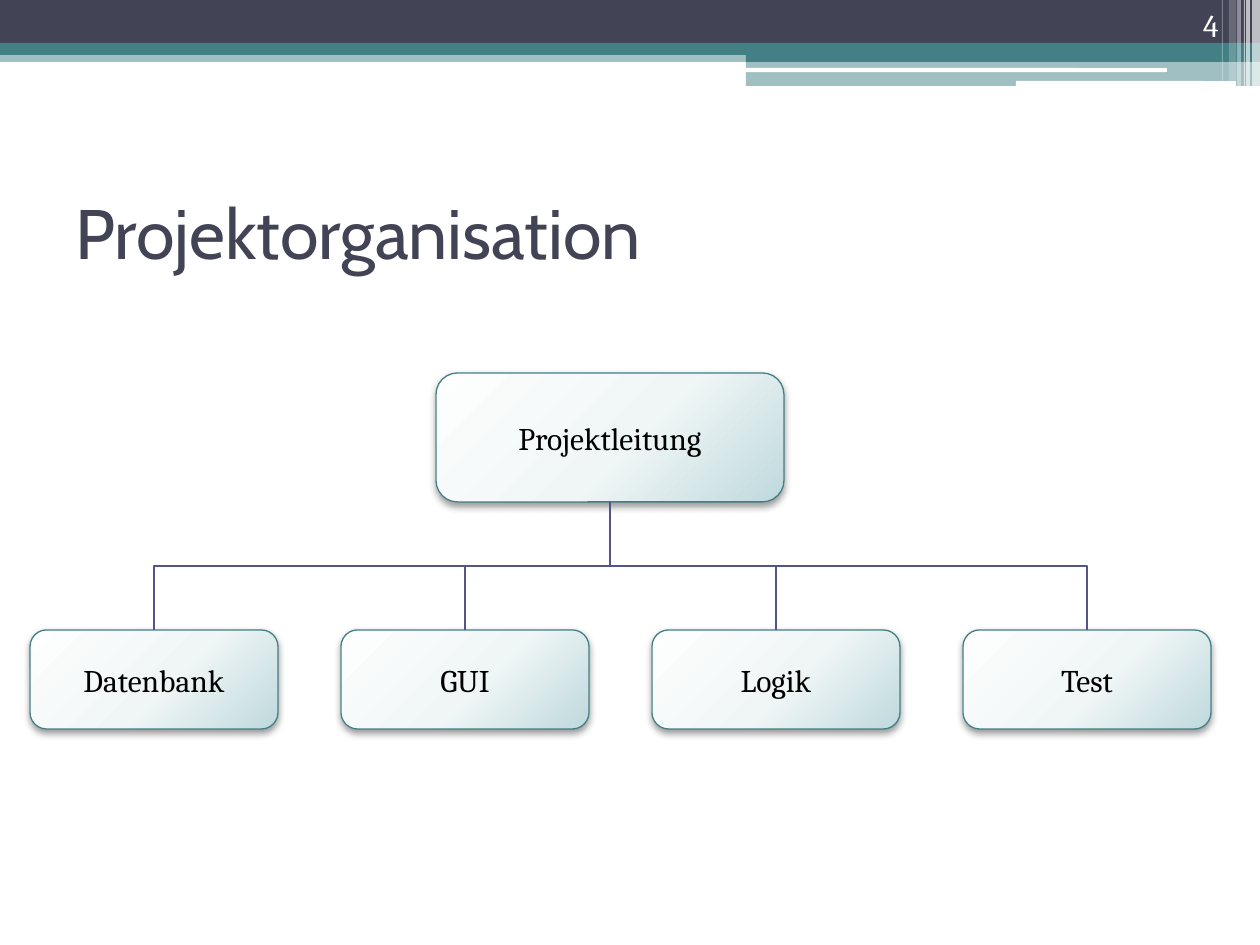
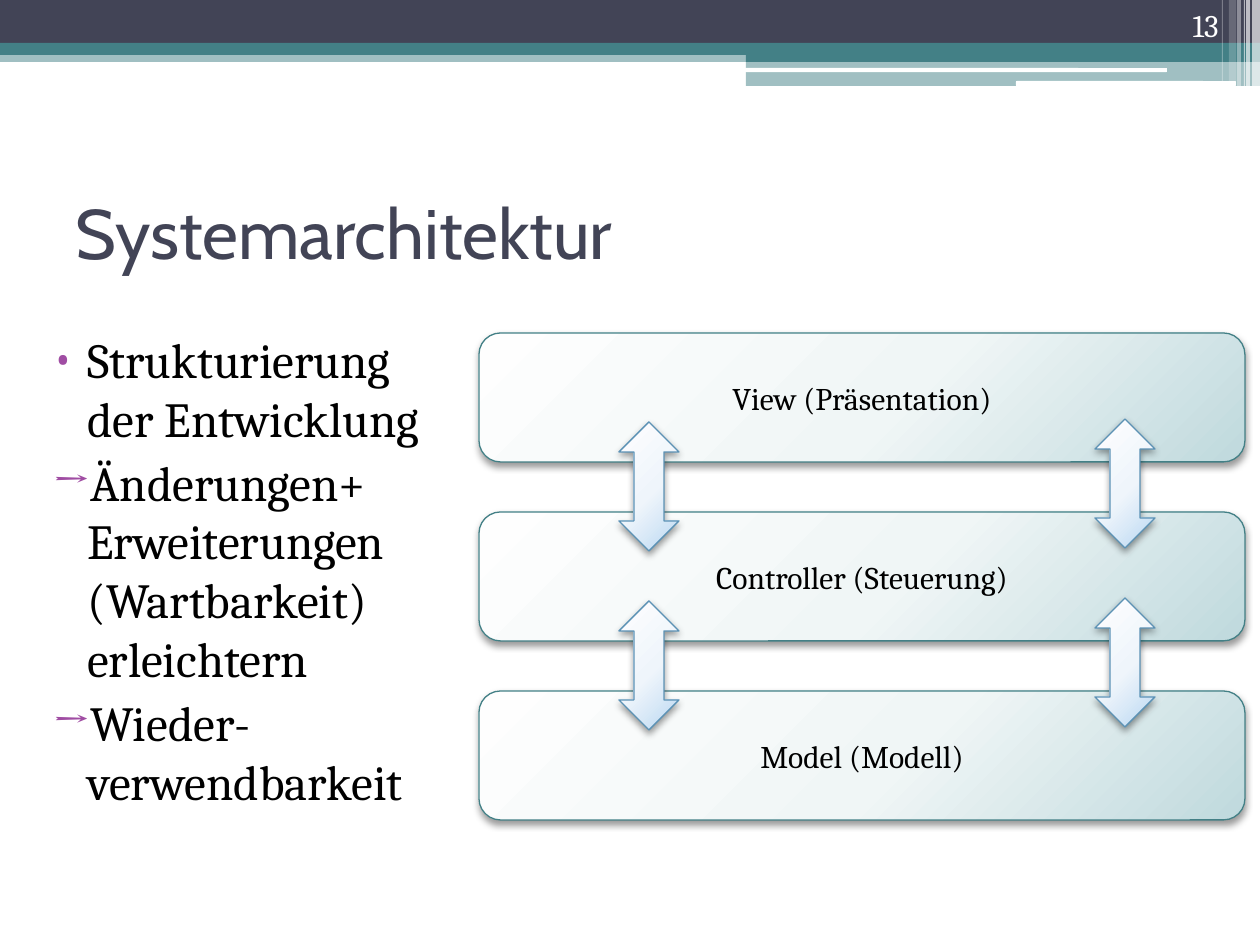
from lxml import etree
from pptx import Presentation
from pptx import util as u
from pptx.dml.color import RGBColor
from pptx.enum import shapes, text
from pptx.oxml import parse_xml
from pptx.oxml.ns import nsdecls, qn

SHAPE = shapes.MSO_SHAPE
ALIGN = text.PP_ALIGN
ANCHOR = text.MSO_ANCHOR

COLORS = {
    "white": "FFFFFF", "black": "000000", "slate": "424456",
    "teal": "438086", "link": "53548A", "bullet": "A04DA3",
    "arrow_line": "5C92B5",
}
BOX_GRADIENT = ((0, "FEFEFE"), (55, "F0F6F6"), (100, "BFD9DD"))
ARROW_GRADIENT = ((0, "FEFEFF"), (55, "EFF5FB"), (100, "BAD8F2"))
TITLE_FONT, BODY_FONT = "Cabin", "Cambria"
SLIDE_W, SLIDE_H = 1260, 945

# Header parts: left, top, width, height, colour, opacity in percent
BANDS = (
    (0, 50, SLIDE_W, 12, "teal", 50),
    (0, 0, SLIDE_W, 43, "slate", 100),
    (0, 43, SLIDE_W, 12, "teal", 100),
    (746, 49, 514, 13, "teal", 100),
    (746, 62, 514, 24, "teal", 50),
)
HEADER_RULES = ((745, 68, 422, 4), (1016, 81, 220, 5))
# Strips at the right edge: left, width, height, opacity in percent
EDGE_STRIPS = (
    (1252, 8, 86, 65), (1246, 4, 86, 65), (1244, 1, 86, 60),
    (1237, 4, 86, 40), (1229, 7, 81, 20), (1222, 1, 81, 30),
)


def px(length):
    return u.Emu(round(length * 914400 / 126))


def rgb(name):
    return RGBColor.from_string(COLORS[name])


def add_preset(slide, preset, box):
    shape = slide.shapes.add_shape(preset, *map(px, box))
    shape.shadow.inherit = False
    return shape


def add_flat(slide, preset, box, color, opacity=100):
    shape = add_preset(slide, preset, box)
    shape.fill.solid()
    shape.fill.fore_color.rgb = rgb(color)
    shape.line.fill.background()
    if opacity < 100:
        color_node = next(shape._element.spPr.iter(qn("a:srgbClr")))
        etree.SubElement(color_node, qn("a:alpha"), val=str(opacity * 1000))
    return shape


def add_glossy(slide, preset, box, gradient, line_color):
    """Shape with a radial gradient, a thin outline and a soft shadow."""
    shape = add_preset(slide, preset, box)
    shape.line.color.rgb = rgb(line_color)
    shape.line.width = u.Pt(0.75)
    shape.fill.gradient()
    props = shape._element.spPr
    stops = "".join(
        f'<a:gs pos="{pos * 1000}"><a:srgbClr val="{color}"/></a:gs>'
        for pos, color in gradient)
    props.replace(props.find(qn("a:gradFill")), parse_xml(
        f'<a:gradFill {nsdecls("a")} rotWithShape="1"><a:gsLst>{stops}</a:gsLst>'
        '<a:path path="circle"><a:fillToRect l="-40000" t="-90000" '
        'r="140000" b="190000"/></a:path></a:gradFill>'))
    props.find(qn("a:effectLst")).append(parse_xml(
        f'<a:outerShdw {nsdecls("a")} blurRad="{u.Pt(4.1)}" dist="{u.Pt(2)}" '
        'dir="5400000" rotWithShape="0"><a:srgbClr val="000000">'
        '<a:alpha val="40000"/></a:srgbClr></a:outerShdw>'))
    return shape


def style(paragraph, size, color, font=BODY_FONT, align=ALIGN.LEFT):
    paragraph.alignment = align
    paragraph.font.size = u.Pt(size)
    paragraph.font.name = font
    paragraph.font.color.rgb = rgb(color)


def add_text(slide, box, words, anchor, *look):
    frame = slide.shapes.add_textbox(*map(px, box)).text_frame
    frame.word_wrap = True
    frame.vertical_anchor = anchor
    frame.text = words
    style(frame.paragraphs[0], *look)


def add_card(slide, box, label):
    card = add_glossy(slide, SHAPE.ROUNDED_RECTANGLE, box, BOX_GRADIENT, "teal")
    card.text_frame.vertical_anchor = ANCHOR.MIDDLE
    card.text_frame.text = label
    style(card.text_frame.paragraphs[0], 18, "black", BODY_FONT, ALIGN.CENTER)
    return card


def add_header(slide):
    for *box, color, opacity in BANDS:
        add_flat(slide, SHAPE.RECTANGLE, box, color, opacity)
    for box in HEADER_RULES:
        add_flat(slide, SHAPE.ROUNDED_RECTANGLE, box, "white")
    for left, width, height, opacity in EDGE_STRIPS:
        add_flat(slide, SHAPE.RECTANGLE, (left, 0, width, height), "white", opacity)


def new_slide(deck, title, number):
    slide = deck.slides.add_slide(deck.slide_layouts[6])
    add_header(slide)
    add_text(slide, (63, 158, 1134, 147), title, ANCHOR.MIDDLE,
             40, "slate", TITLE_FONT)
    add_text(slide, (1126, 0, 105, 50), str(number), ANCHOR.BOTTOM,
             18, "white", BODY_FONT, ALIGN.RIGHT)
    return slide


def add_branch(slide, leader, unit):
    """Elbow link that leaves the leader downwards and enters the unit from above."""
    link = slide.shapes.add_connector(shapes.MSO_CONNECTOR.ELBOW, 0, 0, 0, 0)
    link.begin_connect(leader, 2)
    link.end_connect(unit, 0)
    start_x, end_x = (card.left + card.width // 2 for card in (leader, unit))
    start_y, end_y = leader.top + leader.height, unit.top
    drop, span = end_y - start_y, abs(end_x - start_x)
    # The link is stored lying on its side and turned about its centre
    link.left = (start_x + end_x - drop) // 2
    link.top = (start_y + end_y - span) // 2
    link.width, link.height = drop, span
    goes_right = end_x > start_x
    frame = link._element.spPr.find(qn("a:xfrm"))
    frame.set("rot", str((270 if goes_right else 90) * 60000))
    frame.set("flipH", "1" if goes_right else "0")
    frame.set("flipV", "0")
    link.line.color.rgb = rgb("link")
    link.line.width = u.Pt(0.75)
    etree.SubElement(link._element.spPr, qn("a:effectLst"))


def add_org_chart(slide, box, leader_name, unit_names):
    left, top, width, height = box
    unit_w, unit_h = 248, 99
    pitch = (width - unit_w) / (len(unit_names) - 1)
    leader = add_card(slide, (left + 406, top, 348, 129), leader_name)
    units = [add_card(slide, (left + i * pitch, top + height - unit_h, unit_w, unit_h), name)
             for i, name in enumerate(unit_names)]
    for unit in units:
        add_branch(slide, leader, unit)


def add_points(slide, box, points):
    frame = slide.shapes.add_textbox(*map(px, box)).text_frame
    frame.word_wrap = True
    for i, (mark, words) in enumerate(points):
        point = frame.add_paragraph() if i else frame.paragraphs[0]
        point.text = words
        point.space_before = u.Pt(3)
        style(point, 28, "black")
        props = point._p.get_or_add_pPr()
        props.set("marL", str(px(50)))
        props.set("indent", str(px(-35)))
        bullet_color = etree.SubElement(props, qn("a:buClr"))
        etree.SubElement(bullet_color, qn("a:srgbClr"), val=COLORS["bullet"])
        etree.SubElement(props, qn("a:buFont"), typeface=BODY_FONT)
        etree.SubElement(props, qn("a:buChar"), char=mark)
        # Bullet settings precede the default run settings
        props.append(props.find(qn("a:defRPr")))


def add_layers(slide, box, names):
    left, top, width, height = box
    layer_h = 129
    pitch = (height - layer_h) / (len(names) - 1)
    for i, name in enumerate(names):
        add_card(slide, (left, top + i * pitch, width, layer_h), name)
    # Two arrows across each gap
    for gap in range(len(names) - 1):
        for arrow_x, arrow_y in ((140, 89), (616, 86)):
            add_glossy(slide, SHAPE.UP_DOWN_ARROW,
                       (left + arrow_x, top + arrow_y + gap * pitch, 60, layer_h),
                       ARROW_GRADIENT, "arrow_line")


def build_organisation(deck):
    slide = new_slide(deck, "Projektorganisation", 4)
    add_org_chart(slide, (30, 373, 1181, 356), "Projektleitung",
                  ("Datenbank", "GUI", "Logik", "Test"))


def build_architecture(deck):
    slide = new_slide(deck, "Systemarchitektur", 13)
    add_layers(slide, (479, 333, 766, 487),
               ("View (Präsentation)", "Controller (Steuerung)", "Model (Modell)"))
    add_points(slide, (25, 323, 446, 596), (
        ("•", "Strukturierung der Entwicklung"),
        ("→", "Änderungen+ Erweiterungen (Wartbarkeit) erleichtern"),
        ("→", "Wieder-verwendbarkeit"),
    ))


def main():
    deck = Presentation()
    deck.slide_width, deck.slide_height = px(SLIDE_W), px(SLIDE_H)
    build_organisation(deck)
    build_architecture(deck)
    deck.save("out.pptx")


if __name__ == "__main__":
    main()
